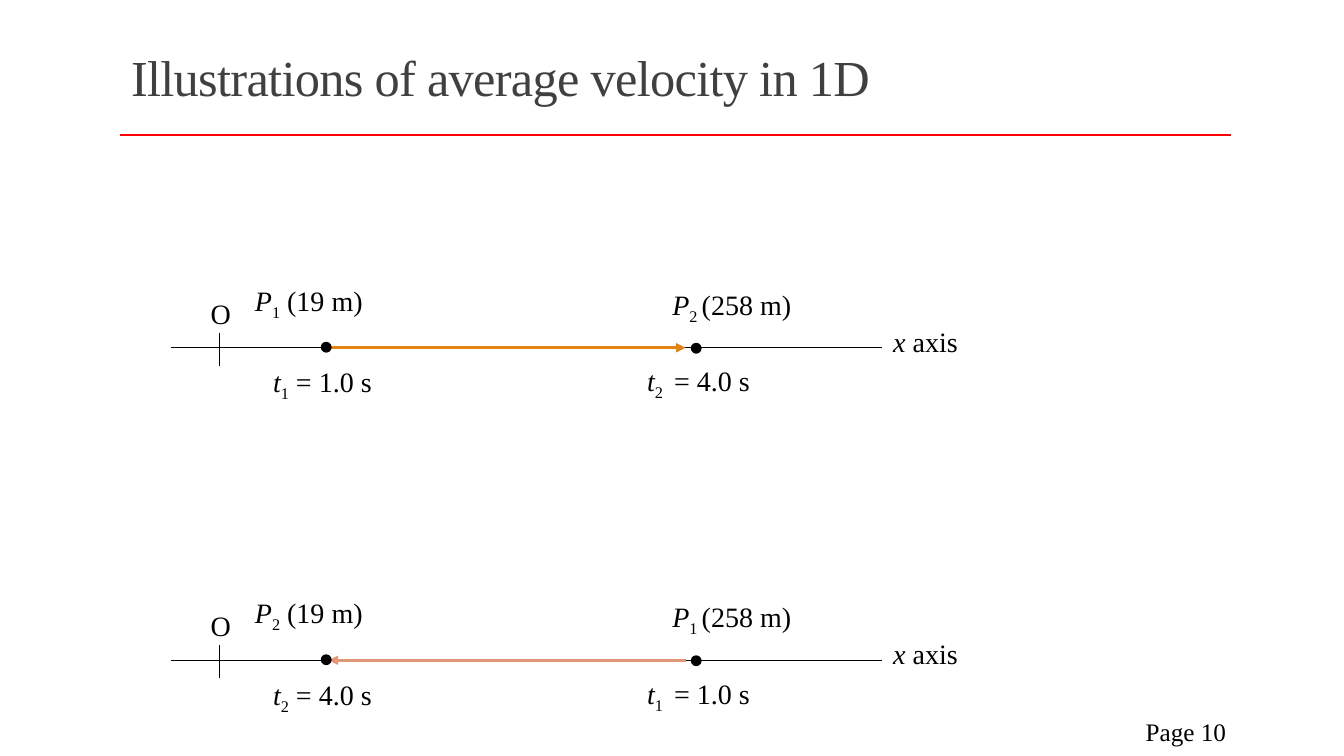
"""Build a slide that illustrates average velocity in one dimension."""
from dataclasses import dataclass

from lxml import etree
from pptx import Presentation
from pptx.dml.color import RGBColor
from pptx.enum.shapes import MSO_CONNECTOR, MSO_SHAPE
from pptx.enum.text import MSO_ANCHOR, MSO_AUTO_SIZE, PP_ALIGN
from pptx.oxml.ns import qn
from pptx.util import Inches, Pt

STRAIGHT = MSO_CONNECTOR.STRAIGHT
OVAL = MSO_SHAPE.OVAL
MIDDLE = MSO_ANCHOR.MIDDLE
FIXED, GROW = MSO_AUTO_SIZE.NONE, MSO_AUTO_SIZE.SHAPE_TO_FIT_TEXT
LEFT, RIGHT = PP_ALIGN.LEFT, PP_ALIGN.RIGHT


@dataclass(frozen=True)
class Theme:
    font: str = "Times New Roman"
    ink: str = "000000"
    title: str = "404040"
    rule: str = "FF0000"
    forward: str = "E48312"
    backward: str = "E09878"
    title_size: int = 36
    label_size: int = 20
    page_size: int = 18


THEME = Theme()
TITLE = "Illustrations of average velocity in 1D"
PAGE = "Page 10"
MOTIONS = [
    {"axis_y": 3.45, "start_x": 3.26, "end_x": 6.8, "color": THEME.forward,
     "near": ("1", "1.0"), "far": ("2", "4.0")},
    {"axis_y": 6.55, "start_x": 6.8, "end_x": 3.26, "color": THEME.backward,
     "near": ("2", "4.0"), "far": ("1", "1.0")},
]
AXIS_LEFT, AXIS_RIGHT, ORIGIN_X = 1.7, 8.75, 2.18
TICK_ABOVE, TICK_BELOW = 0.15, 0.18
DOT = 0.09
LABEL_HEIGHT = 0.44


def point_labels(near, far):
    """Return the labels as left, offset from the axis, width and styled runs."""
    near_index, near_time = near
    far_index, far_time = far
    return [
        (1.99, -0.56, 0.64, [("O", "")]),
        (8.76, -0.28, 0.99, [("x ", "italic"), ("axis", "")]),
        (2.43, -0.69, 2.24, [("P", "italic"), (near_index, "sub"), (" (19 m)", "")]),
        (6.57, -0.65, 2.44, [("P", "italic"), (far_index + " ", "sub"), ("(258 m)", "")]),
        (2.61, 0.12, 1.85, [("t", "italic"), (near_index, "sub"), (f" = {near_time} s", "")]),
        (6.32, 0.11, 2, [("t", "italic"), (far_index + " ", "sub"), (f" = {far_time} s", "")]),
    ]


def add_run(paragraph, text, size, color, style=""):
    """Add one styled run and return it."""
    run = paragraph.add_run()
    run.text = text
    run.font.name = THEME.font
    run.font.size = Pt(size)
    run.font.color.rgb = RGBColor.from_string(color)
    run.font.italic = style == "italic"
    if style == "sub":
        run.font._element.set("baseline", "-25000")
    return run


def add_line(shapes, start, end, color, width, arrow=False):
    """Draw a straight line, with an arrowhead at its end if asked."""
    line = shapes.add_connector(STRAIGHT, *map(Inches, start + end))
    line.line.color.rgb = RGBColor.from_string(color)
    line.line.width = Pt(width)
    if arrow:
        etree.SubElement(line.line._get_or_add_ln(), qn("a:tailEnd"), type="triangle")
    etree.SubElement(line._element.spPr, qn("a:effectLst"))


def add_dot(shapes, left, top):
    """Mark a point on the axis."""
    dot = shapes.add_shape(OVAL, *map(Inches, (left, top, DOT, DOT)))
    dot.shadow.inherit = False
    dot.fill.solid()
    dot.fill.fore_color.rgb = RGBColor.from_string(THEME.ink)
    dot.line.color.rgb = RGBColor.from_string(THEME.ink)
    dot.line.width = Pt(1.25)


def add_motion(slide, motion):
    """Draw one axis with its displacement arrow, points and labels."""
    shapes = slide.shapes.add_group_shape().shapes
    y = motion["axis_y"]
    add_dot(shapes, 6.86, y - 0.04)
    add_line(shapes, (AXIS_LEFT, y), (AXIS_RIGHT, y), THEME.ink, 1)
    add_line(shapes, (ORIGIN_X, y - TICK_ABOVE), (ORIGIN_X, y + TICK_BELOW), THEME.ink, 1)
    add_line(shapes, (motion["start_x"], y), (motion["end_x"], y),
             motion["color"], 2.25, arrow=True)
    add_dot(shapes, 3.19, y - 0.05)
    for left, offset, width, runs in point_labels(motion["near"], motion["far"]):
        label = shapes.add_textbox(*map(Inches, (left, y + offset, width, LABEL_HEIGHT)))
        label.text_frame.word_wrap = True
        label.text_frame.auto_size = GROW
        for text, style in runs:
            add_run(label.text_frame.paragraphs[0], text, THEME.label_size, THEME.ink, style)


def add_title(slide):
    """Fill the title placeholder."""
    title = slide.shapes.title
    title.left, title.top, title.width, title.height = map(Inches, (1.2, 0.31, 11, 0.98))
    title.text_frame.vertical_anchor = MIDDLE
    title.text_frame.auto_size = FIXED
    heading = title.text_frame.paragraphs[0]
    heading.alignment = LEFT
    heading.line_spacing = 0.85
    run = add_run(heading, TITLE, THEME.title_size, THEME.title)
    run.font._element.set("spc", "-50")


def add_page_number(slide):
    """Write the page number at the lower right."""
    page = slide.shapes.add_textbox(*map(Inches, (10.83, 7.06, 1.43, 0.4)))
    page.text_frame.word_wrap = True
    page.text_frame.vertical_anchor = MIDDLE
    page.text_frame.paragraphs[0].alignment = RIGHT
    add_run(page.text_frame.paragraphs[0], PAGE, THEME.page_size, THEME.ink)


def main():
    """Assemble and save the slide."""
    deck = Presentation()
    deck.slide_width, deck.slide_height = Inches(13.33), Inches(7.5)
    slide = deck.slides.add_slide(deck.slide_layouts[5])
    add_line(slide.shapes, (1.19, 1.34), (12.21, 1.34), THEME.rule, 2)
    add_title(slide)
    add_page_number(slide)
    for motion in MOTIONS:
        add_motion(slide, motion)
    deck.save("out.pptx")


if __name__ == "__main__":
    main()
